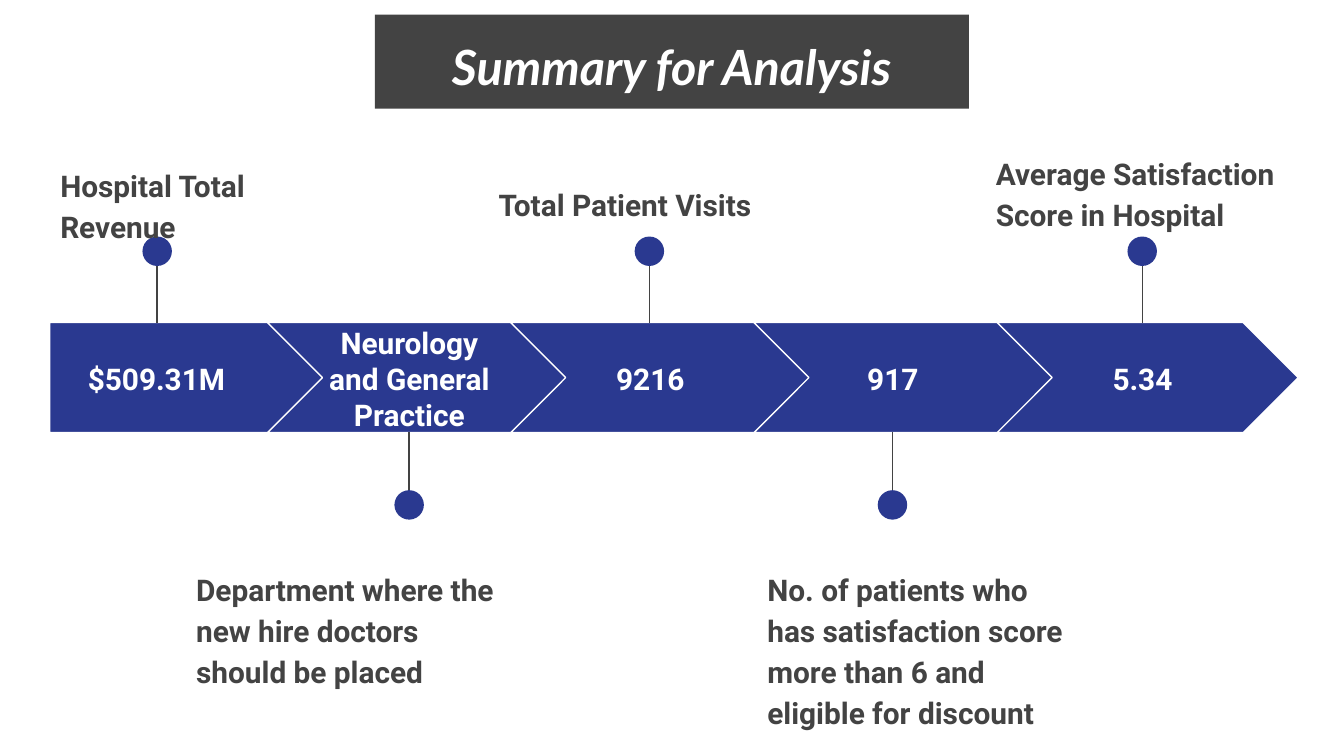
from lxml import etree
from pptx import Presentation
from pptx.dml.color import RGBColor
from pptx.enum import shapes, text
from pptx.oxml.ns import qn
from pptx.util import Pt

BLUE, GREY, WHITE = "2A3990", "434343", "FFFFFF"
KIND = shapes.MSO_SHAPE
MID, TOP = text.MSO_ANCHOR.MIDDLE, text.MSO_ANCHOR.TOP
LEFT, CENTER = text.PP_ALIGN.LEFT, text.PP_ALIGN.CENTER

BAR_TOP, BAR_H = 172.8, 59
STEP = 130.3  # distance between neighbouring chevrons
DOT = 15.8

# value, value left, value width, stem x, dot above, label, label left, top, height
STAGES = [
    ("$509.31M", 26.6, 114.5, 84.2, True,
     "Hospital Total Revenue", 25.2, 79.9, 46.8),
    ("Neurology and General Practice", 167.5, 103.7, 219.2, False,
     "Department where the new hire doctors should be placed", 98, 296, 71.3),
    ("9216", 296.6, 103.7, 347.9, True,
     "Total Patient Visits", 260, 90, 36.7),
    ("917", 426.5, 103.7, 478.1, False,
     "No. of patients who has satisfaction score more than 6 and "
     "eligible for discount", 404, 296, 71.3),
    ("5.34", 560.2, 103.7, 611.9, True,
     "Average Satisfaction Score in Hospital", 526.4, 73.4, 59),
]


def rgb(code):
    return RGBColor.from_string(code)


def block(slide, kind, x, y, w, h, fill, edge=None):
    item = slide.shapes.add_shape(kind, Pt(x), Pt(y), Pt(w), Pt(h))
    item.shadow.inherit = False
    item.fill.solid()
    item.fill.fore_color.rgb = rgb(fill)
    if edge:
        item.line.color.rgb = rgb(edge)
        item.line.width = Pt(0.75)
    else:
        item.line.fill.background()
    return item


def write(item, words, color, align=LEFT, anchor=TOP, size=16, face="Roboto",
          loose=True):
    """Fill a shape or box with one bold paragraph."""
    frame = item.text_frame
    frame.word_wrap = True
    frame.vertical_anchor = anchor
    frame.margin_left = frame.margin_right = Pt(7.2)
    frame.margin_top = frame.margin_bottom = Pt(7.2)
    para = frame.paragraphs[0]
    para.text = words
    para.alignment = align
    if loose:
        para.line_spacing = 1.15
        para.space_after = Pt(16)
    font = para.font
    font.name, font.size, font.bold = face, Pt(size), True
    font.color.rgb = rgb(color)
    return para


def box(slide, x, y, w, h):
    return slide.shapes.add_textbox(Pt(x), Pt(y), Pt(w), Pt(h))


def stem(slide, x, start, end):
    line = slide.shapes.add_connector(
        shapes.MSO_CONNECTOR.STRAIGHT, Pt(x), Pt(start), Pt(x), Pt(end))
    line.line.color.rgb = rgb(GREY)
    line.line.width = Pt(0.75)
    etree.SubElement(line._element.spPr, qn("a:effectLst"))


def arrow(slide, index):
    if index == 0:
        block(slide, KIND.PENTAGON, 26.6, BAR_TOP, 147.6, BAR_H, BLUE, WHITE)
    else:
        x = 143.3 + STEP * (index - 1)
        block(slide, KIND.CHEVRON, x, BAR_TOP, 161.3, BAR_H, BLUE, WHITE)


def pin(slide, x, above):
    """Draw a stem from the bar to a dot above or below it."""
    if above:
        stem(slide, x, 129.6, BAR_TOP + 0.5)
        y = 126.7
    else:
        stem(slide, x, 275, BAR_TOP + BAR_H - 0.5)
        y = 262.6
    block(slide, KIND.OVAL, x - DOT / 2, y, DOT, DOT, BLUE)


def main():
    deck = Presentation()
    deck.slide_width, deck.slide_height = Pt(720), Pt(405)
    slide = deck.slides.add_slide(deck.slide_layouts[6])

    for index, stage in enumerate(STAGES):
        value, left, width, x, above, label, lx, ly, lh = stage
        arrow(slide, index)
        write(box(slide, left, 184.3, width, 36.7), value, WHITE,
              CENTER, MID, loose=False)
        pin(slide, x, above)
        write(box(slide, lx, ly, 176.4, lh), label, GREY)

    title = block(slide, KIND.RECTANGLE, 200.9, 7.9, 318.2, 50.4, GREY)
    para = write(title, "Summary for Analysis", WHITE, CENTER,
                 size=26, face="Lato")
    para.font.italic = True

    deck.save("out.pptx")


if __name__ == "__main__":
    main()
